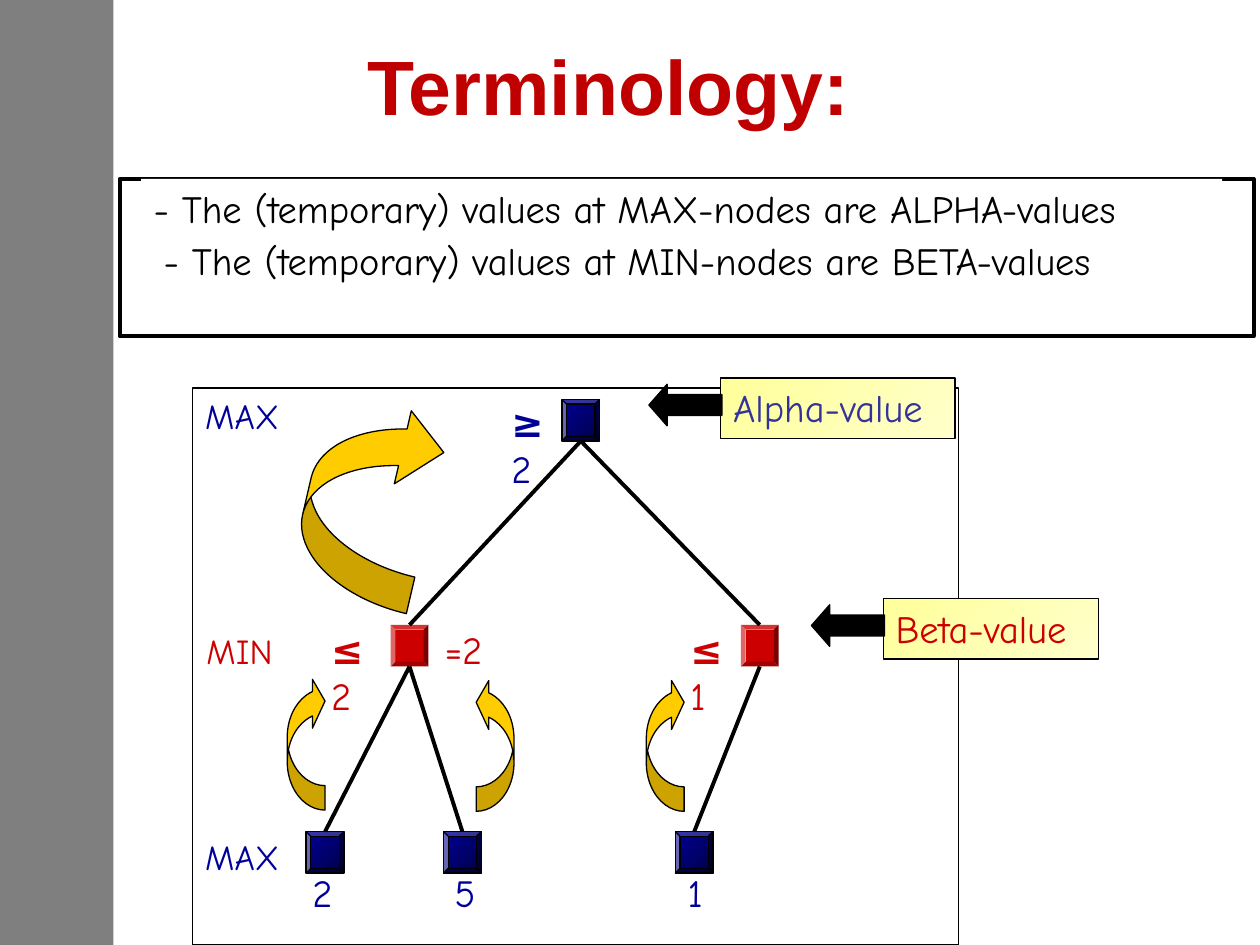
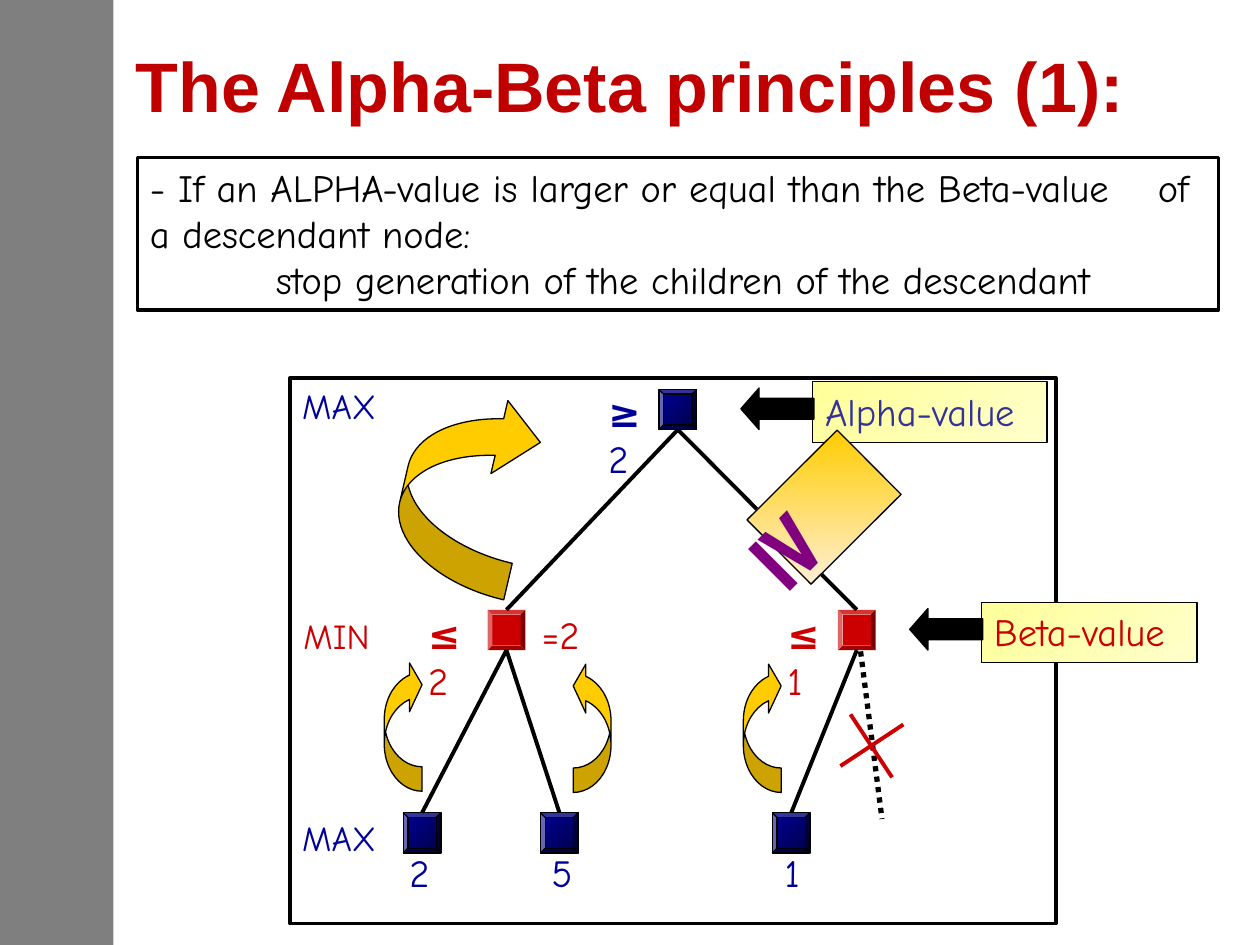
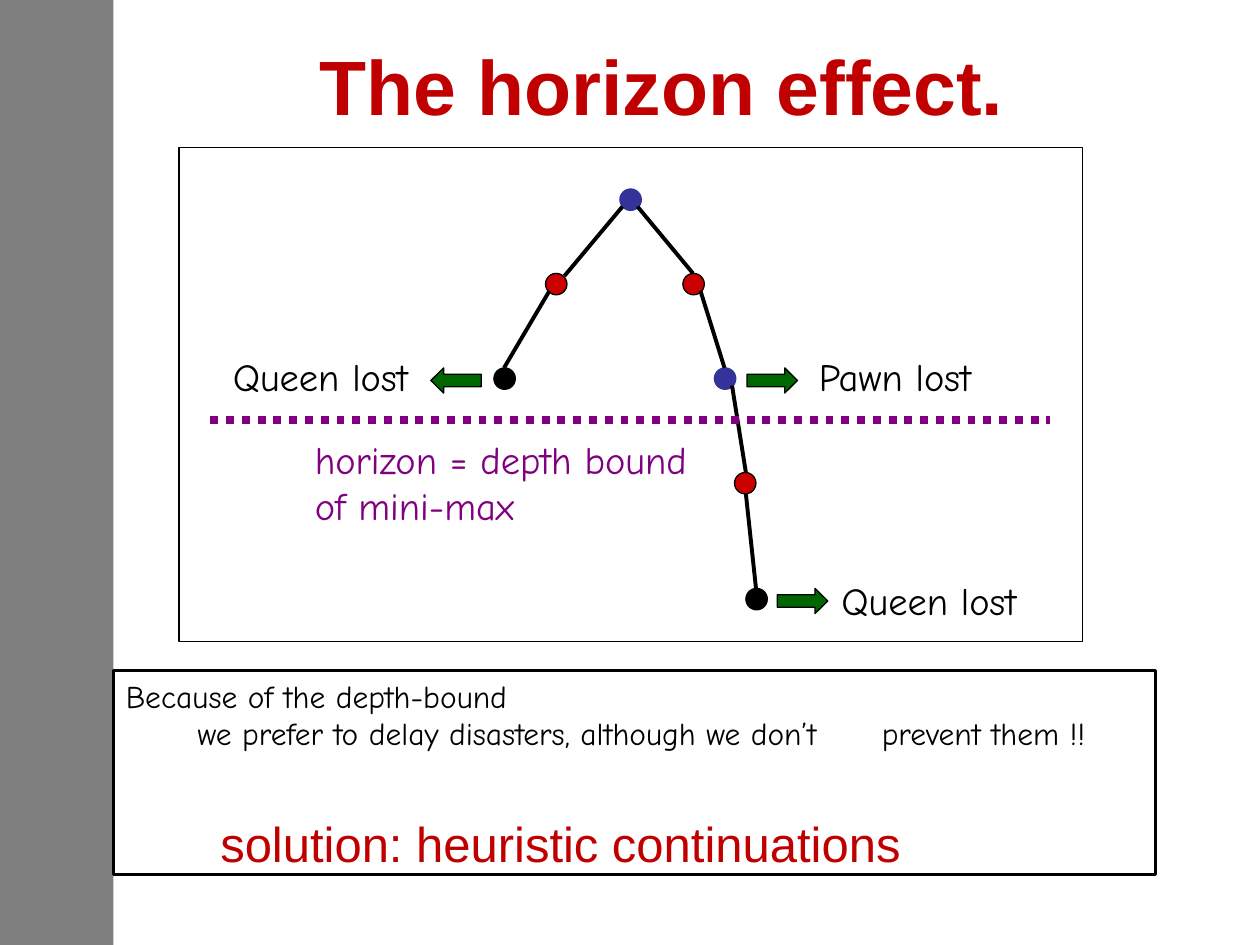
from dataclasses import dataclass
from typing import NamedTuple, Optional

import pptx
import pptx.dml.color
import pptx.enum.dml
import pptx.enum.shapes
import pptx.enum.text
import pptx.oxml
import pptx.oxml.ns
import pptx.util

RGB = pptx.dml.color.RGBColor
SHAPE = pptx.enum.shapes.MSO_SHAPE
DOTTED = pptx.enum.dml.MSO_LINE.ROUND_DOT

PX_PER_INCH = 100
EMU_PER_PX = 914400 // PX_PER_INCH

BLACK = RGB(0x00, 0x00, 0x00)
WHITE = RGB(0xFF, 0xFF, 0xFF)
TITLE_RED = RGB(0xC0, 0x00, 0x00)
MIN_RED = RGB(0xCC, 0x00, 0x00)
MAX_BLUE = RGB(0x00, 0x00, 0x99)
DARK_BLUE = RGB(0x00, 0x00, 0x47)
ALPHA_BLUE = RGB(0x33, 0x33, 0x99)
GOLD = RGB(0xFF, 0xCC, 0x00)
CREAM = RGB(0xFF, 0xEF, 0xD5)
YELLOW = RGB(0xFF, 0xFF, 0x99)
PALE_YELLOW = RGB(0xFF, 0xFF, 0xCC)
PURPLE = RGB(0x80, 0x00, 0x80)
GREEN = RGB(0x00, 0x66, 0x00)

HEAD_FONT, BODY_FONT = "Arial", "Comic Neue"
SMALL_CURVE = (0.647, 1.294, 0.333)
LARGE_CURVE = (0.304, 0.607, 0.333)


class Box(NamedTuple):
    x: int
    y: int
    w: int
    h: int


class Run(NamedTuple):
    text: str
    color: RGB = BLACK
    size: int = 22
    bold: bool = False
    font: str = BODY_FONT


class Para(NamedTuple):
    runs: list
    left: int = 0
    indent: int = 0


class Edge(NamedTuple):
    x1: int
    y1: int
    x2: int
    y2: int


class Node(NamedTuple):
    x: int
    y: int
    is_max: bool


class Label(NamedTuple):
    x: int
    y: int
    w: int
    runs: list
    stacked: bool = False


class Curve(NamedTuple):
    box: Box
    flip: str
    adj: tuple
    rotation: float = 0


class Callout(NamedTuple):
    x: int
    y: int
    w: int
    run: Run


class Disc(NamedTuple):
    x: int
    y: int
    fill: RGB
    line: RGB = BLACK


@dataclass
class TreeFrame:
    left: int
    top: int
    height: int
    line: float

    def place(self, x: int, y: int) -> tuple[int, int]:
        return self.left + x, self.top + self.scale(y)

    def scale(self, length: int) -> int:
        return round(length * self.height / TREE_H)


# Game tree, in px from the corner of its frame
TREE_W, TREE_H = 608, 442
NODE_W, NODE_H = 30, 33
ROOT = Node(293, 9, True)
MIN_LEFT, MIN_RIGHT = Node(157, 188, False), Node(435, 188, False)
LEAVES = [Node(x, 352, True) for x in (90, 199, 383)]
NODES = [ROOT, MIN_LEFT, MIN_RIGHT, *LEAVES]
BRANCHES = [(ROOT, MIN_LEFT), (ROOT, MIN_RIGHT), (MIN_LEFT, LEAVES[0]),
            (MIN_LEFT, LEAVES[1]), (MIN_RIGHT, LEAVES[2])]
CURVES = [
    Curve(Box(75, 229, 30, 106), "v", SMALL_CURVE),
    Curve(Box(225, 230, 30, 106), "hv", SMALL_CURVE),
    Curve(Box(360, 230, 30, 106), "v", SMALL_CURVE),
    Curve(Box(91, 9, 98, 161), "v", LARGE_CURVE, 13.1),
]


def bound(sign: str, value: str, color: RGB) -> list:
    return [Run(sign, color, bold=True), Run(value, color)]


LABELS = [
    Label(0, 0, 85, [Run("MAX", MAX_BLUE, 20)]),
    Label(1, 187, 82, [Run("MIN", MIN_RED, 20)]),
    Label(0, 350, 85, [Run("MAX", MAX_BLUE, 20)]),
    Label(243, 4, 56, bound("≥", "2", MAX_BLUE), True),
    Label(100, 184, 56, bound("≤", "2", MIN_RED), True),
    Label(385, 184, 51, bound("≤", "1", MIN_RED), True),
    Label(190, 184, 54, [Run("=2", MIN_RED)]),
    Label(85, 377, 39, [Run("2", MAX_BLUE)]),
    Label(198, 377, 39, [Run("5", MAX_BLUE)]),
    Label(383, 377, 34, [Run("1", MAX_BLUE)]),
]


def px(n: int) -> int:
    return pptx.util.Emu(n * EMU_PER_PX)


def emu(box: Box) -> list[int]:
    return [px(n) for n in box]


# Text
def add_run(p, run: Run) -> None:
    r = p.add_run()
    r.text = run.text
    f = r.font
    f.name, f.size, f.bold = run.font, pptx.util.Pt(run.size), run.bold
    f.color.rgb = run.color


def write(sp, paras: list, wrap: bool = True, right: int = 10) -> None:
    tf = sp.text_frame
    tf.word_wrap = wrap
    tf.vertical_anchor = pptx.enum.text.MSO_ANCHOR.TOP
    tf.margin_right = px(right)
    for i, para in enumerate(paras):
        p = tf.add_paragraph() if i else tf.paragraphs[0]
        p.alignment = pptx.enum.text.PP_ALIGN.LEFT
        if para.left or para.indent:
            pPr = p._p.get_or_add_pPr()
            pPr.set("marL", str(px(para.left)))
            pPr.set("indent", str(px(para.indent)))
        for run in para.runs:
            add_run(p, run)


def add_text(s, box: Box, paras: list, wrap: bool = False, right: int = 10):
    sp = s.shapes.add_textbox(*emu(box))
    write(sp, paras, wrap, right)
    return sp


# Shapes and lines
def add_shape(s, kind, box: Box, fill, line: Optional[RGB] = BLACK,
              width: float = 0.75, flip: str = "", adj: tuple = (), rotation: float = 0):
    """A tuple of two colours as fill makes a diagonal gradient."""
    sp = s.shapes.add_shape(kind, *emu(box))
    sp.shadow.inherit = False
    sp.rotation = rotation
    for i, value in enumerate(adj):
        sp.adjustments[i] = value
    if isinstance(fill, RGB):
        sp.fill.solid()
        sp.fill.fore_color.rgb = fill
    else:
        sp.fill.gradient()
        sp.fill.gradient_angle = 315
        for stop, color in zip(sp.fill.gradient_stops, fill):
            stop.color.rgb = color
    if line is None:
        sp.line.fill.background()
    else:
        sp.line.color.rgb = line
        sp.line.width = pptx.util.Pt(width)
    xfrm = sp.element.spPr.find(pptx.oxml.ns.qn("a:xfrm"))
    for axis in flip:
        xfrm.set("flip" + axis.upper(), "1")
    return sp


def add_line(s, edge: Edge, color: RGB = BLACK, width: float = 2.25, dash=None) -> None:
    c = s.shapes.add_connector(pptx.enum.shapes.MSO_CONNECTOR.STRAIGHT, *[px(n) for n in edge])
    c.line.color.rgb = color
    c.line.width = pptx.util.Pt(width)
    if dash is not None:
        c.line.dash_style = dash
    c.element.spPr.append(pptx.oxml.parse_xml(
        f"<a:effectLst {pptx.oxml.ns.nsdecls('a')}/>"))


# Shared slide parts
def new_slide(prs, title: str, box: Box, size: int):
    s = prs.slides.add_slide(prs.slide_layouts[5])
    sp = s.shapes.title
    sp.left, sp.top, sp.width, sp.height = emu(box)
    tf = sp.text_frame
    tf.auto_size = pptx.enum.text.MSO_AUTO_SIZE.NONE
    tf.vertical_anchor = pptx.enum.text.MSO_ANCHOR.MIDDLE
    p = tf.paragraphs[0]
    p.alignment = pptx.enum.text.PP_ALIGN.CENTER
    add_run(p, Run(title, TITLE_RED, size, True, HEAD_FONT))
    return s


def add_master_band(prs, s) -> None:
    """Draw the half-transparent side band and move it to the master."""
    band = add_shape(s, SHAPE.RECTANGLE, Box(0, 0, 90, 750), BLACK, None)
    color = band.element.spPr.find(".//" + pptx.oxml.ns.qn("a:srgbClr"))
    color.append(pptx.oxml.parse_xml(
        f"<a:alpha {pptx.oxml.ns.nsdecls('a')} val=\"50000\"/>"))
    band.element.nvSpPr.cNvPr.set("id", "20")
    prs.slide_master.shapes.element.insert(2, band.element)


def draw_tree(s, frame: TreeFrame) -> None:
    add_shape(s, SHAPE.RECTANGLE, Box(frame.left, frame.top, TREE_W, frame.height),
              WHITE, width=frame.line)
    for node in NODES:
        box = Box(*frame.place(node.x, node.y), NODE_W, frame.scale(NODE_H))
        if node.is_max:
            add_shape(s, SHAPE.BEVEL, box, (MAX_BLUE, DARK_BLUE))
        else:
            add_shape(s, SHAPE.BEVEL, box, MIN_RED, None)
    for parent, child in BRANCHES:
        start = frame.place(parent.x + NODE_W // 2, parent.y + NODE_H)
        add_line(s, Edge(*start, *frame.place(child.x + NODE_W // 2, child.y)))
    for curve in CURVES:
        b = curve.box
        add_shape(s, SHAPE.CURVED_RIGHT_ARROW, Box(*frame.place(b.x, b.y), b.w, frame.scale(b.h)),
                  GOLD, flip=curve.flip, adj=curve.adj, rotation=curve.rotation)
    for label in LABELS:
        # A wide right margin puts the value below its sign
        add_text(s, Box(*frame.place(label.x, label.y), label.w, 47), [Para(label.runs)],
                 label.stacked, 22 if label.stacked else 10)


def draw_callout(s, c: Callout) -> None:
    sp = add_shape(s, SHAPE.RECTANGLE, Box(c.x, c.y, c.w, 48), (YELLOW, PALE_YELLOW))
    write(sp, [Para([c.run])], wrap=False)
    add_shape(s, SHAPE.RIGHT_ARROW, Box(c.x - 57, c.y + 5, 58, 33), BLACK,
              flip="h", adj=(0.5, 0.438))


def draw_callouts(s, alpha: tuple[int, int], beta: tuple[int, int]) -> None:
    draw_callout(s, Callout(*alpha, 186, Run("Alpha-value", ALPHA_BLUE)))
    draw_callout(s, Callout(*beta, 171, Run("Beta-value", MIN_RED)))


# Slides
def terminology(prs) -> None:
    s = new_slide(prs, "Terminology:", Box(58, 17, 850, 100), 44)
    add_master_band(prs, s)
    add_shape(s, SHAPE.RECTANGLE, Box(95, 142, 900, 125), WHITE, width=2.25)
    sp = add_shape(s, SHAPE.RECTANGLE, Box(112, 142, 858, 47), WHITE, None)
    write(sp, [Para([Run("- The (temporary) values at MAX-nodes are ALPHA-values")])])
    add_text(s, Box(79, 183, 884, 84),
             [Para([Run("- The (temporary) values at MIN-nodes are BETA-values")], 41)], True)
    draw_tree(s, TreeFrame(153, 308, 442, 0.75))
    draw_callouts(s, (572, 300), (701, 475))


def principles(prs) -> None:
    s = new_slide(prs, "The Alpha-Beta principles (1):", Box(75, 17, 850, 100), 40)
    sp = add_shape(s, SHAPE.RECTANGLE, Box(109, 125, 858, 121), WHITE, width=2)
    write(sp, [
        Para([Run("- If an ALPHA-value is larger or equal than the Beta-value "
                  "\tof a descendant node:")]),
        Para([Run("stop generation of the children of the descendant")], 100),
    ])
    draw_tree(s, TreeFrame(230, 300, 433, 2))
    draw_callouts(s, (645, 303), (779, 478))
    # Pruned branch
    add_line(s, Edge(683, 517, 700, 650), width=3, dash=DOTTED)
    for stroke in (Edge(675, 567, 708, 617), Edge(667, 608, 717, 575)):
        add_line(s, stroke, MIN_RED)
    # Comparison sign
    sp = add_shape(s, SHAPE.RECTANGLE, Box(618, 352, 72, 101), (GOLD, CREAM), rotation=45.1)
    write(sp, [Para([Run(" ", PURPLE), Run("≥", PURPLE, 54, True)])])


def horizon(prs) -> None:
    s = new_slide(prs, "The horizon effect.", Box(142, 17, 767, 100), 44)
    add_shape(s, SHAPE.RECTANGLE, Box(142, 117, 717, 392), WHITE)
    # Lines of play
    for disc in (Disc(492, 150, ALPHA_BLUE, ALPHA_BLUE), Disc(433, 217, MIN_RED),
                 Disc(392, 292, BLACK), Disc(542, 217, MIN_RED),
                 Disc(567, 292, ALPHA_BLUE, ALPHA_BLUE), Disc(583, 375, MIN_RED),
                 Disc(592, 467, BLACK)):
        add_shape(s, SHAPE.OVAL, Box(disc.x, disc.y, 17, 17), disc.fill, disc.line)
    for edge in (Edge(494, 164, 448, 219), Edge(436, 231, 400, 292),
                 Edge(506, 164, 550, 217), Edge(556, 231, 575, 292),
                 Edge(581, 306, 592, 375), Edge(592, 392, 600, 467)):
        add_line(s, edge)
    # Outcomes
    for x, y, flip in ((342, 292, ""), (593, 292, "h"), (617, 467, "h")):
        add_shape(s, SHAPE.LEFT_ARROW, Box(x, y, 40, 20), GREEN, flip=flip, adj=(0.5, 0.507))
    for x, y, w, text in ((175, 275, 175, "Queen lost"), (640, 275, 152, "Pawn lost"),
                          (658, 453, 175, "Queen lost")):
        add_text(s, Box(x, y, w, 47), [Para([Run(text)])])
    # Depth bound
    add_line(s, Edge(167, 333, 833, 333), PURPLE, 4.5, DOTTED)
    add_text(s, Box(240, 341, 336, 83),
             [Para([Run(t, PURPLE)]) for t in ("horizon = depth bound", "of mini-max")])
    # Conclusion
    sp = add_shape(s, SHAPE.RECTANGLE, Box(90, 532, 827, 162), WHITE, width=2)
    write(sp, [
        Para([Run("Because of the depth-bound", size=18)]),
        Para([Run("we prefer to delay disasters, although we don’t \tprevent them !!",
                  size=18)], 50, 7),
    ], right=40)
    add_text(s, Box(104, 641, 692, 42),
             [Para([Run("solution: heuristic continuations", TITLE_RED, 28, font=HEAD_FONT)], 61)],
             True)


def main() -> None:
    prs = pptx.Presentation()
    prs.slide_width, prs.slide_height = px(1000), px(750)
    terminology(prs)
    principles(prs)
    horizon(prs)
    prs.save("out.pptx")


if __name__ == "__main__":
    main()
